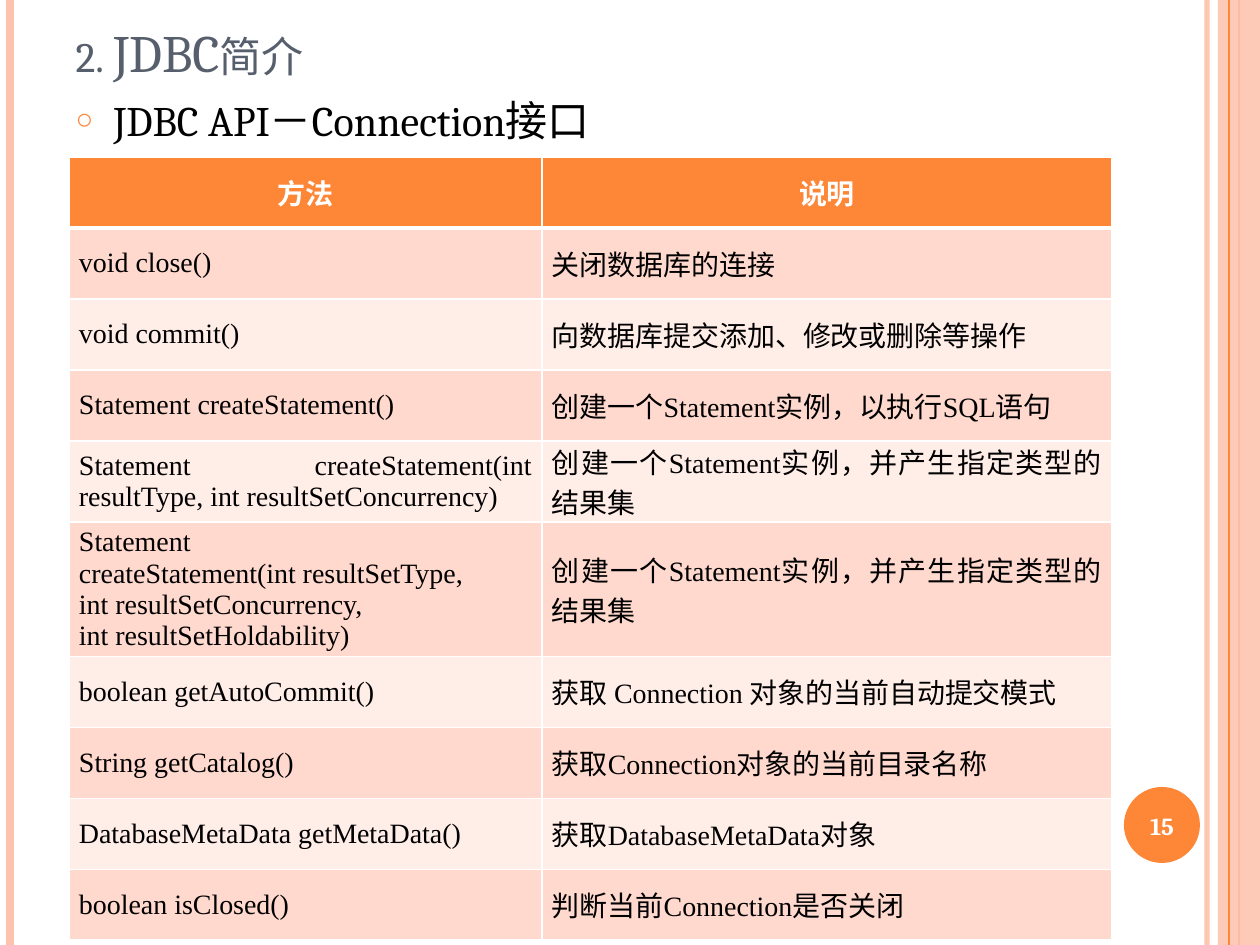
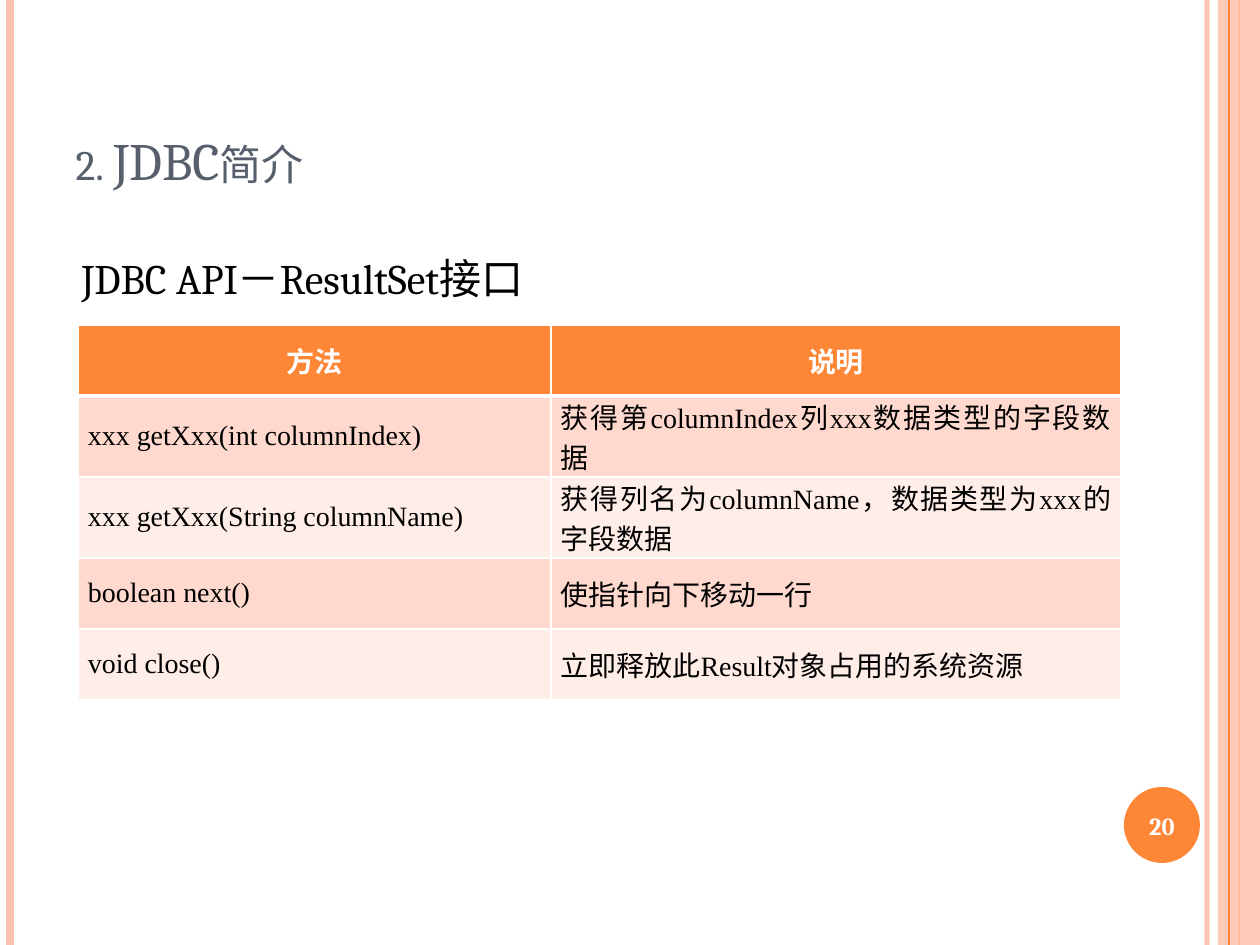
from dataclasses import dataclass

from lxml.etree import SubElement
from pptx import Presentation
from pptx.dml.color import RGBColor
from pptx.enum.shapes import MSO_CONNECTOR, MSO_SHAPE
from pptx.enum.text import MSO_ANCHOR, MSO_AUTO_SIZE, PP_ALIGN
from pptx.oxml import parse_xml
from pptx.oxml.ns import nsdecls, qn
from pptx.util import Emu, Pt

PIXELS_PER_INCH = 126
SLIDE_WIDTH, SLIDE_HEIGHT = 1260, 945

WHITE = RGBColor(0xFF, 0xFF, 0xFF)
BLACK = RGBColor(0x00, 0x00, 0x00)
SLATE = RGBColor(0x57, 0x5F, 0x6D)
ORANGE = RGBColor(0xFE, 0x86, 0x37)
PEACH = RGBColor(0xFE, 0xC3, 0xAE)
ROW_DARK = RGBColor(0xFF, 0xD9, 0xCE)
ROW_LIGHT = RGBColor(0xFF, 0xED, 0xE8)

HEADING_FONT = "Cambria"
TABLE_FONT = "Times New Roman"
TITLE_TEXT = "2. JDBC简介"
COLUMN_WIDTHS = (473, 570)
ROW_HEIGHT = 71
TWO_LINE_HEIGHT = 81
FOUR_LINE_HEIGHT = 125
CELL_MARGIN = 10
HANGING_INDENT = 38


@dataclass(frozen=True)
class Stripe:
    x: int
    width: float
    color: RGBColor
    opacity: int = 100


@dataclass(frozen=True)
class MethodRow:
    signature: str
    description: str
    height: int = ROW_HEIGHT


@dataclass(frozen=True)
class InterfacePage:
    number: int
    heading: str
    bulleted: bool
    title_top: int
    body_left: int
    body_top: int
    table_left: int
    table_top: int
    methods: tuple[MethodRow, ...]


HEADER = MethodRow("方法", "说明")

STRIPES_BELOW_BAND = (
    Stripe(1207, 3, PEACH, 93),
    Stripe(10, 4.5, PEACH),
    Stripe(1239, 1.5, ORANGE),
)
STRIPE_ABOVE_BAND = Stripe(1229, 0.75, ORANGE)

PAGES = (
    InterfacePage(
        15, "JDBC API－Connection接口", True, -69, 63, 88, 69, 157,
        (
            MethodRow("void close()", "关闭数据库的连接"),
            MethodRow("void commit()", "向数据库提交添加、修改或删除等操作"),
            MethodRow("Statement createStatement()", "创建一个Statement实例，以执行SQL语句"),
            MethodRow("Statement createStatement(int resultType, int resultSetConcurrency)",
                      "创建一个Statement实例，并产生指定类型的结果集", TWO_LINE_HEIGHT),
            MethodRow("Statement createStatement(int\u00a0resultSetType, "
                      "int\u00a0resultSetConcurrency, int\u00a0resultSetHoldability)",
                      "创建一个Statement实例，并产生指定类型的结果集", FOUR_LINE_HEIGHT),
            MethodRow("boolean getAutoCommit()", "获取 Connection 对象的当前自动提交模式"),
            MethodRow("String getCatalog()", "获取Connection对象的当前目录名称"),
            MethodRow("DatabaseMetaData getMetaData()", "获取DatabaseMetaData对象"),
            MethodRow("boolean isClosed()", "判断当前Connection是否关闭"),
        ),
    ),
    InterfacePage(
        20, "JDBC API－ResultSet接口", False, 39, 69, 246, 78, 325,
        (
            MethodRow("xxx getXxx(int columnIndex)",
                      "获得第columnIndex列xxx数据类型的字段数据", TWO_LINE_HEIGHT),
            MethodRow("xxx getXxx(String columnName)",
                      "获得列名为columnName，数据类型为xxx的字段数据", TWO_LINE_HEIGHT),
            MethodRow("boolean next()", "使指针向下移动一行"),
            MethodRow("void close()", "立即释放此Result对象占用的系统资源"),
        ),
    ),
)


def px(pixels: int) -> Emu:
    return Emu(round(pixels * 914400 / PIXELS_PER_INCH))


def place(shape, left: int, top: int, width: int, height: int) -> None:
    shape.left, shape.top = px(left), px(top)
    shape.width, shape.height = px(width), px(height)


def add_run(paragraph, text: str, font: str, size: int, color: RGBColor, bold: bool = False):
    run = paragraph.add_run()
    run.text = text
    run.font.name = font
    run.font.size = Pt(size)
    run.font.bold = bold
    run.font.color.rgb = color
    return run


def set_opacity(shape_element, percent: int) -> None:
    color = next(shape_element.spPr.iter(qn("a:srgbClr")))
    SubElement(color, qn("a:alpha")).set("val", str(percent * 1000))


def add_stripe(slide, stripe: Stripe) -> None:
    line = slide.shapes.add_connector(
        MSO_CONNECTOR.STRAIGHT, px(stripe.x), 0, px(stripe.x), px(SLIDE_HEIGHT))
    line.line.color.rgb = stripe.color
    line.line.width = Pt(stripe.width)
    if stripe.opacity < 100:
        set_opacity(line._element, stripe.opacity)
    SubElement(line._element.spPr, qn("a:effectLst"))


def add_solid(slide, kind: MSO_SHAPE, box: tuple[int, int, int, int], color: RGBColor):
    shape = slide.shapes.add_shape(kind, *map(px, box))
    shape.shadow.inherit = False
    shape.fill.solid()
    shape.fill.fore_color.rgb = color
    shape.line.fill.background()
    return shape


def add_frame(slide, number: int) -> None:
    for stripe in STRIPES_BELOW_BAND:
        add_stripe(slide, stripe)
    band = add_solid(slide, MSO_SHAPE.RECTANGLE, (1218, 0, 42, SLIDE_HEIGHT), PEACH)
    set_opacity(band._element, 87)
    add_stripe(slide, STRIPE_ABOVE_BAND)
    add_solid(slide, MSO_SHAPE.OVAL, (1124, 787, 76, 76), ORANGE)
    label = slide.shapes.add_textbox(px(1120), px(790), px(84), px(72)).text_frame
    label.word_wrap = True
    label.vertical_anchor = MSO_ANCHOR.MIDDLE
    paragraph = label.paragraphs[0]
    paragraph.alignment = PP_ALIGN.CENTER
    add_run(paragraph, str(number), HEADING_FONT, 14, WHITE, True)


def fill_title(slide, top: int) -> None:
    title = slide.shapes.title
    place(title, 63, top, 1029, 158)
    frame = title.text_frame
    frame.auto_size = MSO_AUTO_SIZE.NONE
    frame.vertical_anchor = MSO_ANCHOR.BOTTOM
    paragraph = frame.paragraphs[0]
    paragraph.alignment = PP_ALIGN.LEFT
    run = add_run(paragraph, TITLE_TEXT, HEADING_FONT, 30, SLATE)
    run.font._element.set("cap", "small")


def fill_body(slide, page: InterfacePage) -> None:
    body = slide.placeholders[1]
    place(body, page.body_left, page.body_top, 1029, 672)
    frame = body.text_frame
    frame.auto_size = MSO_AUTO_SIZE.NONE
    paragraph = frame.paragraphs[0]
    paragraph.space_before = Pt(6)
    properties = paragraph._p.get_or_add_pPr()
    properties.set("marL", str(px(HANGING_INDENT)))
    properties.set("indent", str(-px(HANGING_INDENT)))
    if page.bulleted:
        color = SubElement(properties, qn("a:buClr"))
        SubElement(color, qn("a:srgbClr")).set("val", str(ORANGE))
        SubElement(properties, qn("a:buSzPct")).set("val", "70000")
        SubElement(properties, qn("a:buChar")).set("char", "○")
    else:
        SubElement(properties, qn("a:buNone"))
    add_run(paragraph, page.heading, HEADING_FONT, 24, BLACK)


def set_borders(cell, top: int, bottom: int) -> None:
    properties = cell._tc.get_or_add_tcPr()
    widths = {"lnL": 1, "lnR": 1, "lnT": top, "lnB": bottom}
    for position, (tag, width) in enumerate(widths.items()):
        properties.insert(position, parse_xml(
            f'<a:{tag} {nsdecls("a")} w="{Pt(width)}"><a:solidFill>'
            f'<a:srgbClr val="{WHITE}"/></a:solidFill></a:{tag}>'))


def fill_cell(cell, text: str, row: int) -> None:
    is_header = row == 0
    cell.margin_left = cell.margin_right = px(CELL_MARGIN)
    cell.margin_top = cell.margin_bottom = 0
    cell.vertical_anchor = MSO_ANCHOR.MIDDLE
    cell.fill.solid()
    cell.fill.fore_color.rgb = ORANGE if is_header else ROW_DARK if row % 2 else ROW_LIGHT
    set_borders(cell, 3 if row == 1 else 1, 3 if is_header else 1)
    paragraph = cell.text_frame.paragraphs[0]
    paragraph.alignment = PP_ALIGN.CENTER if is_header else PP_ALIGN.JUSTIFY
    add_run(paragraph, text, TABLE_FONT, 16, WHITE if is_header else BLACK, is_header)


def add_method_table(slide, page: InterfacePage) -> None:
    rows = (HEADER, *page.methods)
    table = slide.shapes.add_table(
        len(rows), len(COLUMN_WIDTHS), px(page.table_left), px(page.table_top),
        px(sum(COLUMN_WIDTHS)), px(sum(row.height for row in rows))).table
    for column, width in zip(table.columns, COLUMN_WIDTHS):
        column.width = px(width)
    for index, row in enumerate(rows):
        table.rows[index].height = px(row.height)
        fill_cell(table.cell(index, 0), row.signature, index)
        fill_cell(table.cell(index, 1), row.description, index)


def add_page(presentation, page: InterfacePage) -> None:
    slide = presentation.slides.add_slide(presentation.slide_layouts[1])
    fill_title(slide, page.title_top)
    fill_body(slide, page)
    add_frame(slide, page.number)
    add_method_table(slide, page)


def main() -> None:
    presentation = Presentation()
    presentation.slide_width = px(SLIDE_WIDTH)
    presentation.slide_height = px(SLIDE_HEIGHT)
    for page in PAGES:
        add_page(presentation, page)
    presentation.save("out.pptx")


main()
